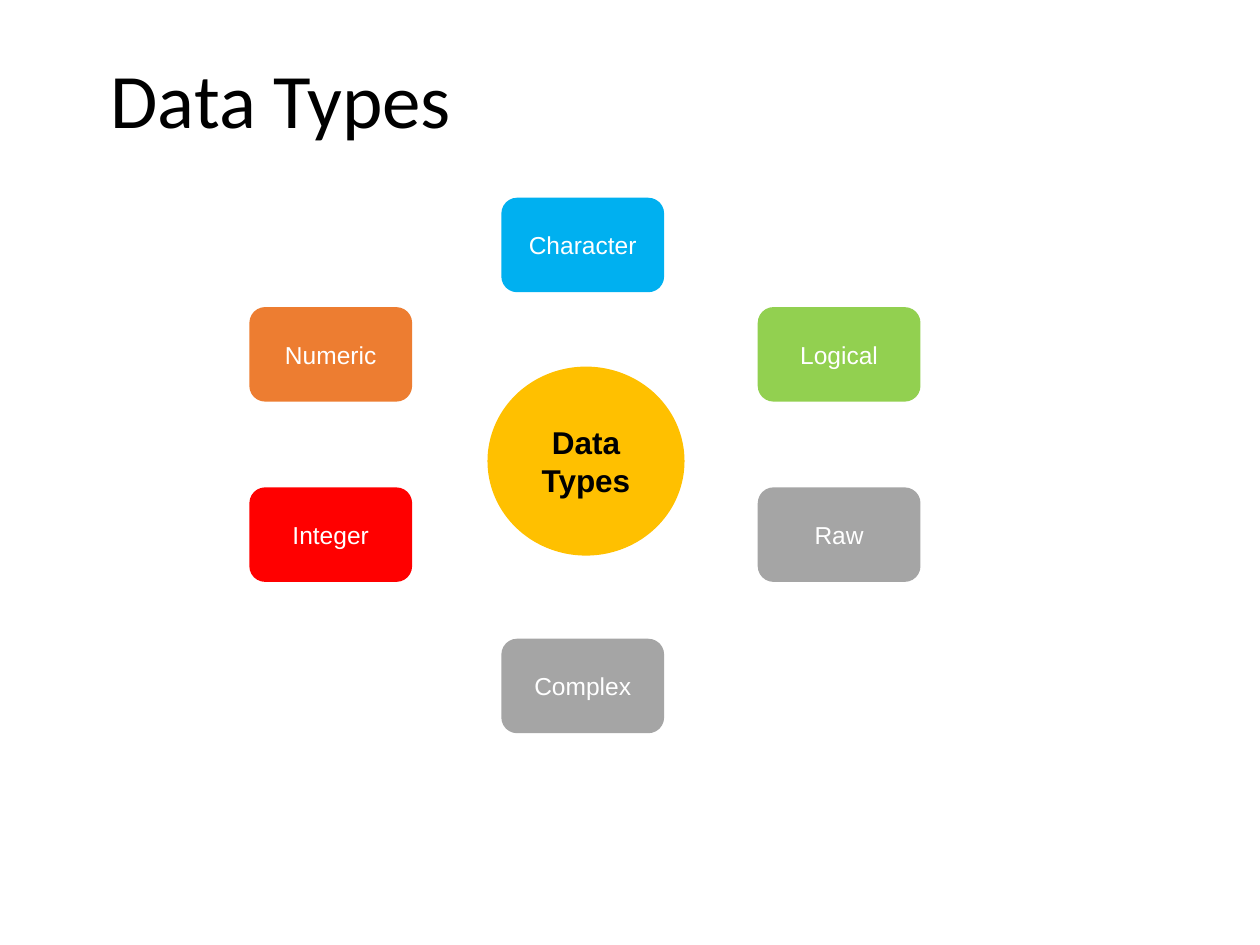
from pptx import Presentation
from pptx.dml.color import RGBColor
from pptx.enum.shapes import MSO_SHAPE
from pptx.enum.text import MSO_ANCHOR, MSO_AUTO_SIZE, PP_ALIGN
from pptx.util import Pt

# Content: label, column, row, fill
TITLE = "Data Types"
HUB = "Data Types"
TYPES = [
    ("Numeric", "left", "upper", "orange"),
    ("Character", "centre", "top", "blue"),
    ("Integer", "left", "lower", "red"),
    ("Raw", "right", "lower", "grey"),
    ("Complex", "centre", "bottom", "grey"),
    ("Logical", "right", "upper", "green"),
]

THEME = {
    "colours": {
        "black": "000000", "white": "FFFFFF", "gold": "FFC000",
        "orange": "ED7D31", "blue": "00B0F0", "red": "FF0000",
        "grey": "A5A5A5", "green": "92D050",
    },
    "title": {"font": "Calibri", "size": 44, "colour": "black", "bold": False},
    "hub": {"font": "Arial", "size": 18, "colour": "black", "bold": True},
    "type": {"font": "Arial", "size": 14, "colour": "white", "bold": False},
}

# Layout in points
COLUMNS = {"left": 142.5, "centre": 286.5, "right": 433}
ROWS = {"top": 113, "upper": 175.5, "lower": 278.5, "bottom": 365}
TYPE_SIZE = (93, 54)
HUB_AREA = (278.6, 209.5, 112.6, 108)
TITLE_AREA = (56, 26, 436, 60.5)


def colour(name):
    return RGBColor.from_string(THEME["colours"][name])


def write(shape, text, role, align, anchor):
    style = THEME[role]
    frame = shape.text_frame
    frame.text = text
    frame.word_wrap = True
    frame.auto_size = MSO_AUTO_SIZE.NONE
    frame.vertical_anchor = anchor
    para = frame.paragraphs[0]
    para.alignment = align
    font = para.runs[0].font
    font.name = style["font"]
    font.size = Pt(style["size"])
    font.bold = style["bold"]
    font.color.rgb = colour(style["colour"])


def add_node(page, kind, area, text, fill, role):
    node = page.shapes.add_shape(kind, *map(Pt, area))
    node.shadow.inherit = False
    node.fill.solid()
    node.fill.fore_color.rgb = colour(fill)
    node.line.fill.background()
    write(node, text, role, PP_ALIGN.CENTER, MSO_ANCHOR.MIDDLE)


def main():
    deck = Presentation()
    deck.slide_width, deck.slide_height = Pt(720), Pt(540)
    page = deck.slides.add_slide(deck.slide_layouts[5])

    # Title
    title = page.shapes.title
    title.left, title.top, title.width, title.height = map(Pt, TITLE_AREA)
    write(title, TITLE, "title", PP_ALIGN.LEFT, MSO_ANCHOR.TOP)

    # Hub and the types around it
    add_node(page, MSO_SHAPE.OVAL, HUB_AREA, HUB, "gold", "hub")
    for label, column, row, fill in TYPES:
        area = (COLUMNS[column], ROWS[row], *TYPE_SIZE)
        add_node(page, MSO_SHAPE.ROUNDED_RECTANGLE, area, label, fill, "type")

    deck.save("out.pptx")


if __name__ == "__main__":
    main()
